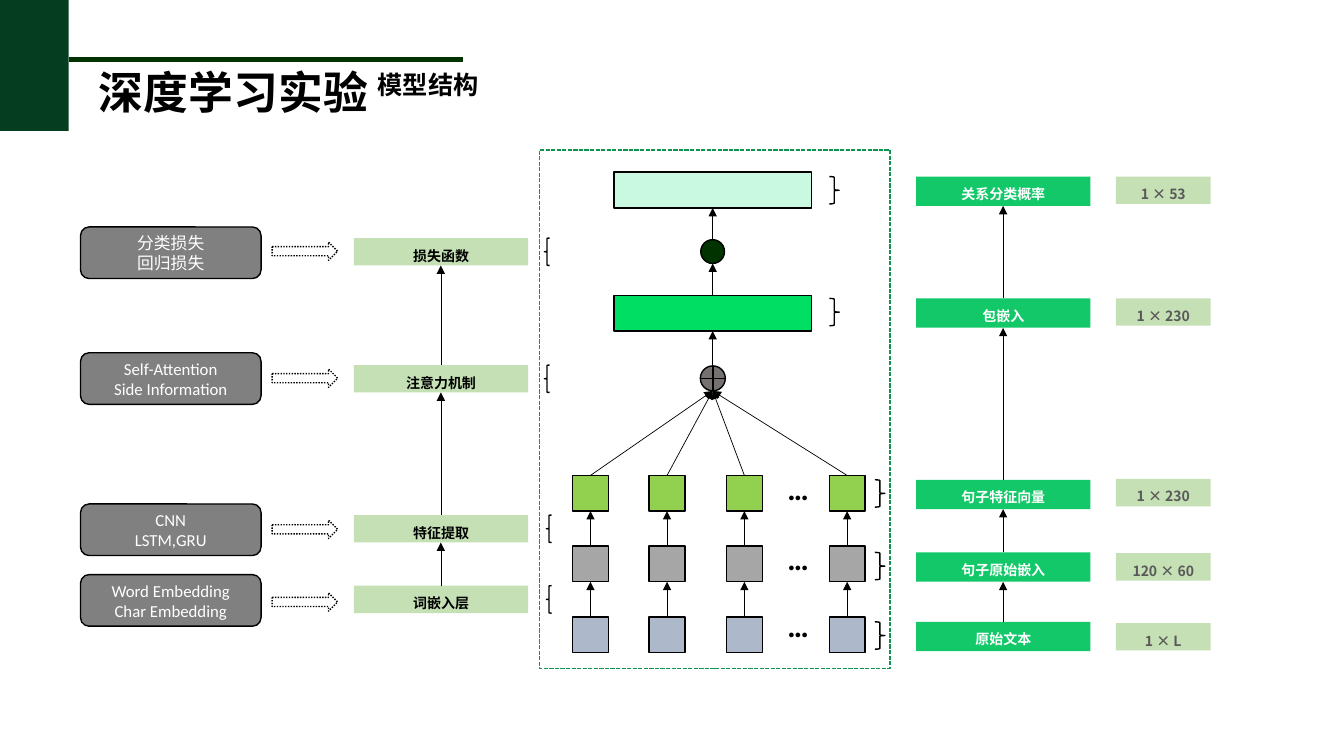
"""Build the model structure slide of the deep learning experiment."""
import lxml.etree
import pptx
import pptx.dml.color
import pptx.enum.dml
import pptx.enum.shapes
import pptx.enum.text
import pptx.oxml.ns
import pptx.util

Cm, Pt = pptx.util.Cm, pptx.util.Pt
RGB = pptx.dml.color.RGBColor.from_string
qn = pptx.oxml.ns.qn
SHAPE = pptx.enum.shapes.MSO_SHAPE
DASH = pptx.enum.dml.MSO_LINE
ANCHOR = pptx.enum.text.MSO_ANCHOR
ALIGN = pptx.enum.text.PP_ALIGN
AUTO = pptx.enum.text.MSO_AUTO_SIZE

THEME = {
    "black": "000000", "white": "FFFFFF", "muted": "595959",
    "banner": "053D20", "rule": "003300", "frame": "0D944E",
    "word": "ADB9CA", "embedding": "A6A6A6", "feature": "92D050",
    "bag": "00DE64", "probability": "C9FAE1", "attention": "767171",
    "output": "12C869", "pale": "C5E0B4", "option": "808080",
    "cjk": "Noto Sans CJK SC", "latin": "Calibri",
    "title": 32, "subtitle": 18, "body": 12, "label": 10,
}

prs = pptx.Presentation()
prs.slide_width, prs.slide_height = Cm(33.87), Cm(19.05)
s = prs.slides.add_slide(prs.slide_layouts[5])


def draw(kind, x, y, w, h, fill=None, line="black", dash=None):
    """Add a preset shape with a flat fill and outline."""
    sp = s.shapes.add_shape(kind, Cm(x), Cm(y), Cm(w), Cm(h))
    sp.shadow.inherit = False
    if fill:
        sp.fill.solid()
        sp.fill.fore_color.rgb = RGB(THEME[fill])
    else:
        sp.fill.background()
    if line:
        sp.line.color.rgb = RGB(THEME[line])
        sp.line.width = Pt(1)
        sp.line.dash_style = dash
    else:
        sp.line.fill.background()
    return sp


def write(sp, text, size, color="black", font="cjk", bold=True, align=ALIGN.LEFT, label=False):
    """Set the text of a shape, one paragraph per line."""
    tf = sp.text_frame
    tf.text = text
    tf.word_wrap = True
    tf.vertical_anchor = ANCHOR.TOP
    tf.auto_size = AUTO.SHAPE_TO_FIT_TEXT
    if label:
        tf.margin_left = tf.margin_right = Cm(0.18)
        tf.margin_top = tf.margin_bottom = Cm(0.1)
    for p in tf.paragraphs:
        p.alignment = align
        if label:
            p.line_spacing = 1.3
        p.font.size = Pt(THEME[size])
        p.font.bold = bold
        p.font.color.rgb = RGB(THEME[color])
        p.font.name = THEME[font]
        ea = lxml.etree.SubElement(p._p.pPr.find(qn("a:defRPr")), qn("a:ea"))
        ea.set("typeface", THEME["cjk"])


draw(SHAPE.RECTANGLE, 0, 0, 1.73, 3.3, "banner", None)
draw(SHAPE.RECTANGLE, 13.59, 3.78, 8.84, 13.06, None, "frame", DASH.SQUARE_DOT)

title = s.shapes.title
title.left, title.top, title.width, title.height = Cm(2.24), Cm(1.5), Cm(11.28), Cm(1.63)
write(title, "深度学习实验", "title")
subtitle = s.shapes.add_textbox(Cm(9.27), Cm(1.63), Cm(4.11), Cm(1.02))
write(subtitle, "模型结构", "subtitle")

arrows = []
cell = 0.9
columns = [14.43, 16.36, 18.31, 20.9]
rows = [("word", 15.55, 15.44), ("embedding", 13.76, 13.74), ("feature", 11.98, 11.99)]
for i, (layer, top, dots_top) in enumerate(rows):
    for left in columns:
        draw(SHAPE.RECTANGLE, left, top, cell, cell, layer)
        mid = left + cell / 2
        if layer == "feature":
            arrows.append((mid, top, 17.96, 9.85))
        else:
            arrows.append((mid, top, mid, rows[i + 1][1] + cell))
    dots = s.shapes.add_textbox(Cm(19.61), Cm(dots_top), Cm(1.27), Cm(1.02))
    write(dots, "···", "subtitle", font="latin")

draw(SHAPE.RECTANGLE, 15.47, 7.44, 4.98, cell, "bag")
draw(SHAPE.RECTANGLE, 15.47, 4.34, 4.98, cell, "probability")
draw(SHAPE.FLOWCHART_OR, 17.65, 9.22, 0.63, 0.63, "attention")
draw(SHAPE.FLOWCHART_CONNECTOR, 17.66, 6.04, 0.6, 0.6, "rule")
for start, end in [(9.22, 8.34), (7.44, 6.64), (6.04, 5.24)]:
    arrows.append((17.96, start, 17.96, end))

outputs = [
    ("原始文本", 15.67, "1 × L", 15.7, 22.05),
    ("句子原始嵌入", 13.92, "120 × 60", 13.94, 22.05),
    ("句子特征向量", 12.09, "1 × 230", 12.07, 22.05),
    ("包嵌入", 7.52, "1 × 230", 7.52, 20.9),
    ("关系分类概率", 4.45, "1 × 53", 4.45, 20.9),
]
for name, top, size, size_top, brace_left in outputs:
    sp = draw(SHAPE.RECTANGLE, 23.09, top, 4.39, 0.74, "output", None)
    write(sp, name, "label", "white", align=ALIGN.CENTER, label=True)
    sp = draw(SHAPE.RECTANGLE, 28.12, size_top, 2.39, 0.69, "pale", None)
    write(sp, size, "label", "muted", align=ALIGN.CENTER, label=True)
    draw(SHAPE.RIGHT_BRACE, brace_left, top, 0.25, 0.69)
for lower, upper in zip(outputs, outputs[1:]):
    arrows.append((25.28, lower[1], 25.28, upper[1] + 0.74))

stages = [
    ("词嵌入层", 14.76, 13.77, "Word Embedding\nChar Embedding", 14.48, 14.94),
    ("特征提取", 12.98, 13.77, "CNN\nLSTM,GRU", 12.7, 13.11),
    ("注意力机制", 9.2, 13.72, "Self-Attention\nSide Information", 8.89, 9.3),
    ("损失函数", 6, 13.72, "分类损失\n回归损失", 5.72, 6.1),
]
for name, top, brace_left, options, options_top, arrow_top in stages:
    sp = draw(SHAPE.RECTANGLE, 8.92, top, 4.39, 0.69, "pale", None)
    write(sp, name, "label", align=ALIGN.CENTER, label=True)
    draw(SHAPE.LEFT_BRACE, brace_left, top, 0.13, 0.69)
    sp = draw(SHAPE.ROUNDED_RECTANGLE, 2.03, options_top, 4.55, 1.3, "option")
    write(sp, options, "body", "white", "latin", False, ALIGN.CENTER)
    sp.text_frame.vertical_anchor = ANCHOR.MIDDLE
    sp.text_frame.auto_size = AUTO.NONE
    draw(SHAPE.RIGHT_ARROW, 6.86, arrow_top, 1.65, 0.46, dash=DASH.ROUND_DOT)
for lower, upper in zip(stages, stages[1:]):
    arrows.append((11.11, lower[1], 11.11, upper[1] + 0.69))

lines = [((1.73, 1.5, 11.68, 1.5), "rule", 3, False)]
lines += [(ends, "black", 0.5, True) for ends in arrows]
for ends, color, width, pointed in lines:
    c = s.shapes.add_connector(pptx.enum.shapes.MSO_CONNECTOR.STRAIGHT, *map(Cm, ends))
    c.line.color.rgb = RGB(THEME[color])
    c.line.width = Pt(width)
    if pointed:
        lxml.etree.SubElement(c.line._get_or_add_ln(), qn("a:tailEnd")).set("type", "triangle")
    lxml.etree.SubElement(c._element.spPr, qn("a:effectLst"))

prs.save("out.pptx")
